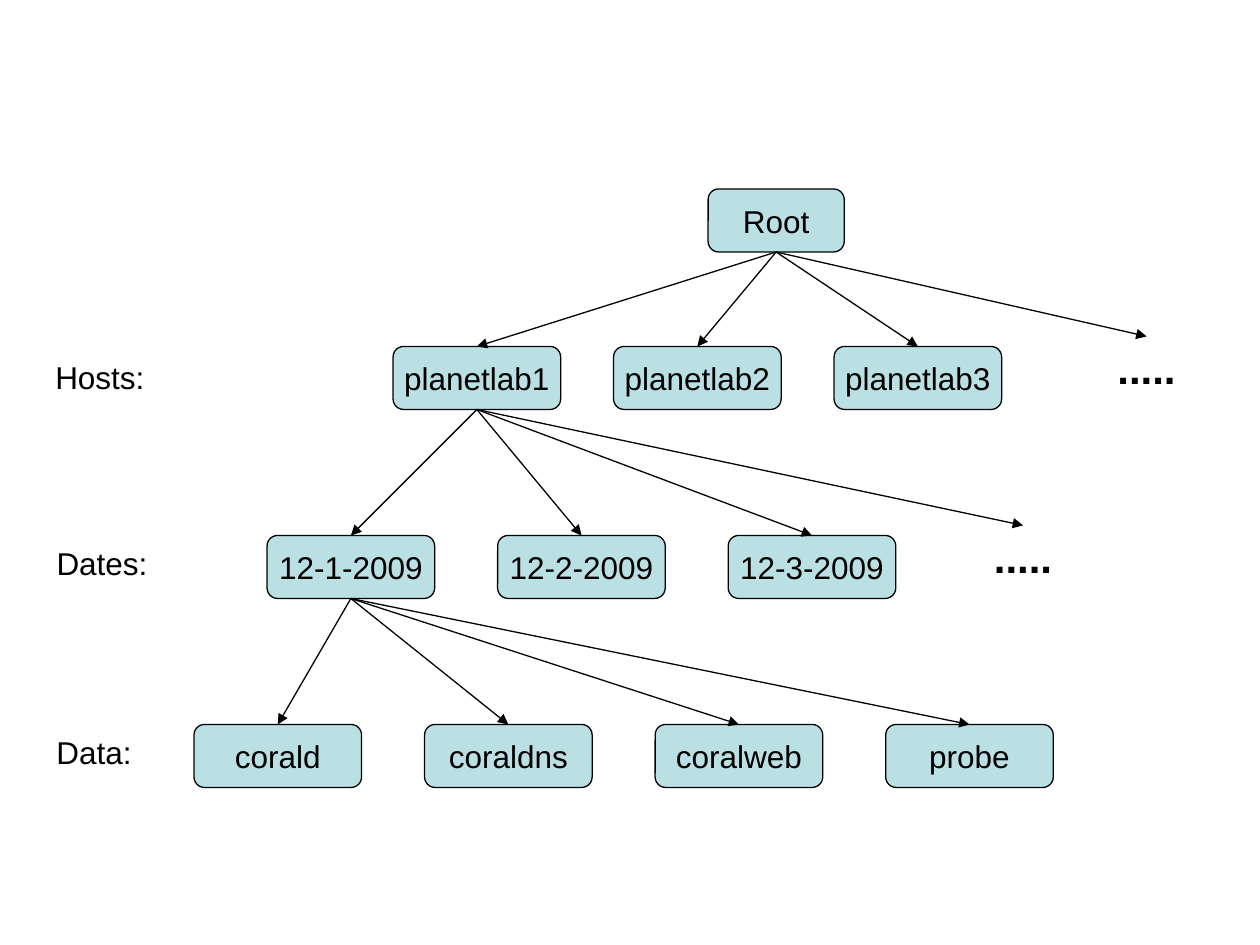
from dataclasses import dataclass

from lxml.etree import SubElement
from pptx import Presentation
from pptx.dml.color import RGBColor
from pptx.enum.shapes import MSO_CONNECTOR as Connector, MSO_SHAPE as Shape
from pptx.enum.text import MSO_ANCHOR as Anchor, MSO_AUTO_SIZE as AutoSize, PP_ALIGN as Align
from pptx.oxml.ns import qn
from pptx.util import Inches, Pt


@dataclass(frozen=True)
class Theme:
    font: str = "Arial"
    ink: RGBColor = RGBColor(0x00, 0x00, 0x00)
    node_fill: RGBColor = RGBColor(0xBB, 0xE0, 0xE3)
    body_size: int = 18
    dots_size: int = 24
    line_width: float = 0.75


NODE_WIDTH, NODE_HEIGHT = 1.33, 0.5
TOP_SITE, BOTTOM_SITE = 0, 2


class TreeSlide:
    def __init__(self, slide, theme):
        self.shapes = slide.shapes
        self.theme = theme

    def _write(self, shape, text, size, align, bold=False):
        frame = shape.text_frame
        frame.text = text
        frame.word_wrap = False
        paragraph = frame.paragraphs[0]
        paragraph.alignment = align
        font = paragraph.runs[0].font
        font.name = self.theme.font
        font.size = Pt(size)
        font.bold = bold
        font.color.rgb = self.theme.ink

    def _outline(self, line):
        line.color.rgb = self.theme.ink
        line.width = Pt(self.theme.line_width)

    def node(self, text, left, top, width=NODE_WIDTH):
        box = self.shapes.add_shape(
            Shape.ROUNDED_RECTANGLE,
            Inches(left), Inches(top), Inches(width), Inches(NODE_HEIGHT))
        box.shadow.inherit = False
        box.fill.solid()
        box.fill.fore_color.rgb = self.theme.node_fill
        self._outline(box.line)
        box.text_frame.vertical_anchor = Anchor.MIDDLE
        self._write(box, text, self.theme.body_size, Align.CENTER)
        return box

    def node_row(self, names, left, top, pitch):
        return [self.node(name, left + i * pitch, top) for i, name in enumerate(names)]

    def label(self, text, left, top, width, height=0.4, size=None, bold=False):
        box = self.shapes.add_textbox(
            Inches(left), Inches(top), Inches(width), Inches(height))
        self._write(box, text, size or self.theme.body_size, Align.LEFT, bold)
        box.text_frame.auto_size = AutoSize.SHAPE_TO_FIT_TEXT
        return box

    def dots(self, left, top):
        return self.label(".....", left, top, 0.66, 0.5, self.theme.dots_size, bold=True)

    def branch(self, parent, children):
        """Draw an arrow from the parent's bottom to the top of each child."""
        for child in children:
            arrow = self.shapes.add_connector(Connector.STRAIGHT, 0, 0, 0, 0)
            arrow.begin_connect(parent, BOTTOM_SITE)
            arrow.end_connect(child, TOP_SITE)
            self._outline(arrow.line)
            properties = arrow.element.spPr
            SubElement(properties.find(qn("a:ln")), qn("a:tailEnd"), type="triangle")
            SubElement(properties, qn("a:effectLst"))


def main():
    deck = Presentation()
    deck.slide_width, deck.slide_height = Inches(10), Inches(7.5)
    tree = TreeSlide(deck.slides.add_slide(deck.slide_layouts[6]), Theme())

    root = tree.node("Root", 5.62, 1.5, width=1.08)
    hosts = tree.node_row(["planetlab1", "planetlab2", "planetlab3"], 3.12, 2.75, 1.75)
    more_hosts = tree.dots(8.77, 2.67)
    dates = tree.node_row(["12-1-2009", "12-2-2009", "12-3-2009"], 2.12, 4.25, 1.83)
    more_dates = tree.dots(7.79, 4.17)
    data = tree.node_row(["corald", "coraldns", "coralweb", "probe"], 1.54, 5.75, 1.83)

    tree.branch(root, hosts + [more_hosts])
    tree.branch(hosts[0], dates + [more_dates])
    tree.branch(dates[0], data)

    tree.label("Hosts:", 0.34, 2.79, 0.91)
    tree.label("Dates:", 0.35, 4.27, 0.92)
    tree.label("Data:", 0.35, 5.77, 0.8)

    deck.save("out.pptx")


if __name__ == "__main__":
    main()
